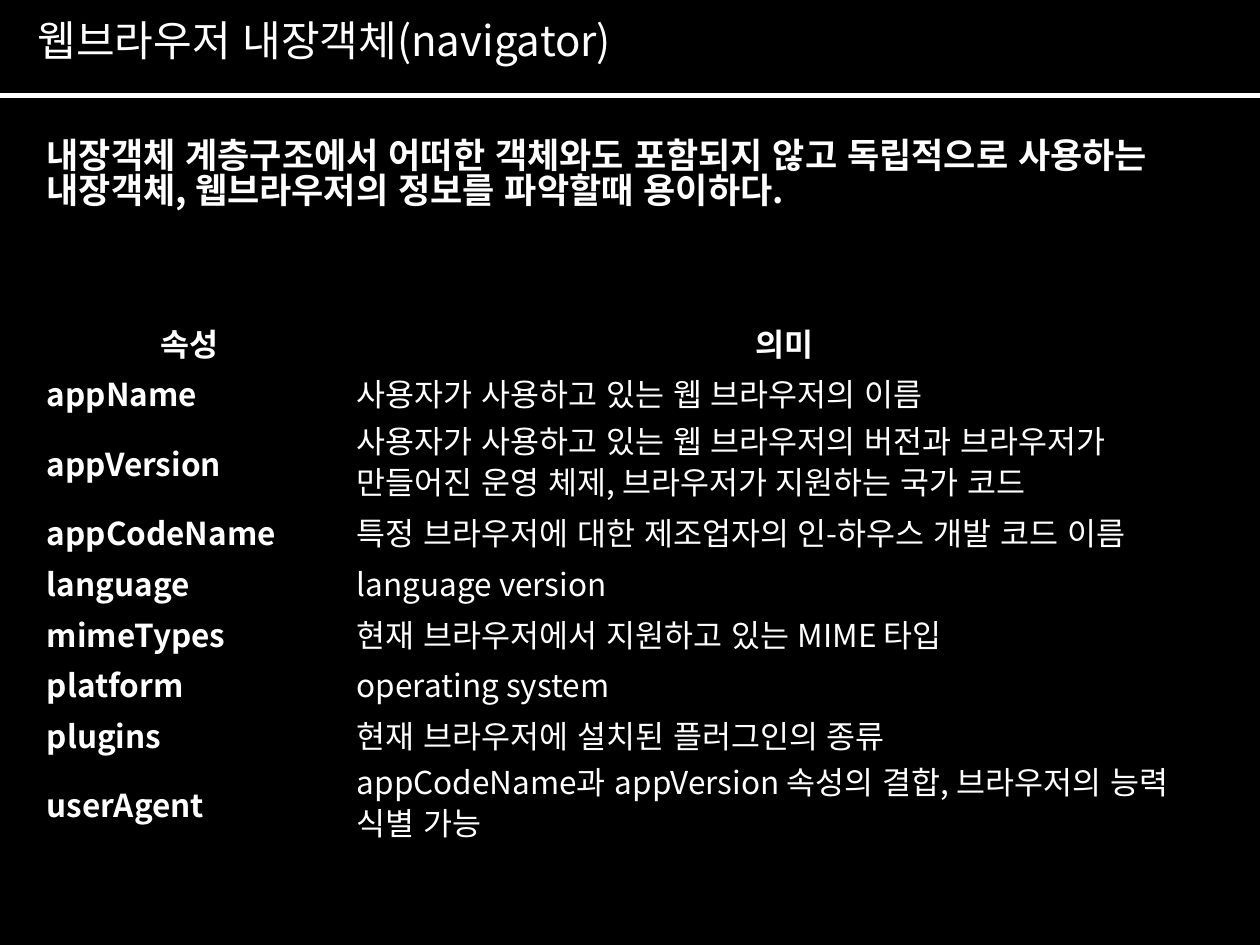
from dataclasses import dataclass

import pptx
import pptx.dml.color
import pptx.enum.lang
import pptx.enum.shapes
import pptx.enum.text
import pptx.oxml.ns
import pptx.util
from lxml import etree

Cm, Pt = pptx.util.Cm, pptx.util.Pt
ALIGN = pptx.enum.text.PP_ALIGN
qn = pptx.oxml.ns.qn
NO_GRID_STYLE = "{2D5ABB26-0587-4C30-8999-92F81FD0307C}"


@dataclass(frozen=True)
class Theme:
    paper: str = "000000"
    ink: str = "FFFFFF"
    font: str = "Noto Sans CJK KR"
    title: int = 24
    summary: int = 20
    body: int = 18
    rule: float = 3
    tight: float = 0.83
    loose: float = 0.9


class SlideBuilder:
    def __init__(self, theme, slide):
        self.theme = theme
        self.slide = slide

    def paint(self, fill, color):
        fill.solid()
        fill.fore_color.rgb = pptx.dml.color.RGBColor.from_string(color)

    def backdrop(self, left, top, width, height):
        self.paint(self.slide.background.fill, self.theme.paper)
        panel = self.slide.shapes.add_shape(
            pptx.enum.shapes.MSO_SHAPE.RECTANGLE,
            Cm(left), Cm(top), Cm(width), Cm(height))
        panel.shadow.inherit = False
        self.paint(panel.fill, self.theme.paper)
        self.paint(panel.line.fill, self.theme.paper)
        panel.line.width = Pt(0.75)

    def rule(self, left, right, y):
        rule = self.slide.shapes.add_connector(
            pptx.enum.shapes.MSO_CONNECTOR.STRAIGHT,
            Cm(left), Cm(y), Cm(right), Cm(y))
        self.paint(rule.line.fill, self.theme.ink)
        rule.line.width = Pt(self.theme.rule)
        etree.SubElement(rule._element.spPr, qn("a:effectLst"))

    def add_text(self, frame, text, size, bold=False, align=ALIGN.LEFT, spacing=None):
        paragraph = frame.paragraphs[0]
        paragraph.alignment = align
        paragraph.line_spacing = spacing or self.theme.tight
        run = paragraph.add_run()
        run.text = text
        font = run.font
        font.size, font.bold = Pt(size), bold
        font.language_id = pptx.enum.lang.MSO_LANGUAGE_ID.KOREAN
        self.paint(font.fill, self.theme.ink)
        font.name = self.theme.font
        etree.SubElement(run._r.rPr, qn("a:ea"), typeface=self.theme.font)

    def text(self, left, top, width, height, text, size, bold=False):
        box = self.slide.shapes.add_textbox(
            Cm(left), Cm(top), Cm(width), Cm(height))
        box.text_frame.word_wrap = True
        self.add_text(box.text_frame, text, size, bold)

    def cell(self, cell, text, bold, align, two_lines):
        cell.vertical_anchor = pptx.enum.text.MSO_ANCHOR.MIDDLE
        cell.margin_top = Cm(0.12 if two_lines else 0.25)
        cell.margin_bottom = 0
        self.add_text(cell.text_frame, text, self.theme.body, bold, align,
                      self.theme.loose if two_lines else None)

    def table(self, left, top, widths, line_heights, header, rows):
        heights = [line_heights[lines] for *_, lines in [(*header, 1), *rows]]
        table = self.slide.shapes.add_table(
            len(heights), len(widths), Cm(left), Cm(top),
            Cm(sum(widths)), Cm(sum(heights))).table
        table.first_row = table.horz_banding = False
        table._tbl.tblPr.find(qn("a:tableStyleId")).text = NO_GRID_STYLE
        for column, width in zip(table.columns, widths):
            column.width = Cm(width)
        for row, height in zip(table.rows, heights):
            row.height = Cm(height)

        # Header row
        for column, heading in enumerate(header):
            cell = table.cell(0, column)
            self.paint(cell.fill, self.theme.paper)
            self.cell(cell, heading, True, ALIGN.CENTER, False)

        # Property rows
        for row, (name, meaning, lines) in enumerate(rows, start=1):
            name_cell, meaning_cell = table.cell(row, 0), table.cell(row, 1)
            name_cell.fill.background()
            meaning_cell.fill.background()
            meaning_cell.margin_right = Cm(1)
            self.cell(name_cell, name, True, ALIGN.LEFT, False)
            self.cell(meaning_cell, meaning, False, ALIGN.LEFT, lines == 2)


# Property, meaning, number of lines
PROPERTIES = [
    ("appName", "사용자가 사용하고 있는 웹 브라우저의 이름", 1),
    ("appVersion", "사용자가 사용하고 있는 웹 브라우저의 버전과 브라우저가 "
                   "만들어진 운영 체제, 브라우저가 지원하는 국가 코드", 2),
    ("appCodeName", "특정 브라우저에 대한 제조업자의 인-하우스 개발 코드 이름", 1),
    ("language", "language version", 1),
    ("mimeTypes", "현재 브라우저에서 지원하고 있는 MIME 타입", 1),
    ("platform", "operating system", 1),
    ("plugins", "현재 브라우저에 설치된 플러그인의 종류", 1),
    ("userAgent", "appCodeName과 appVersion 속성의 결합, 브라우저의 능력 식별 가능", 2),
]


def main():
    theme = Theme()
    deck = pptx.Presentation()
    deck.slide_width, deck.slide_height = Cm(25.4), Cm(19.05)
    page = SlideBuilder(theme, deck.slides.add_slide(deck.slide_layouts[6]))

    # Backdrop and title
    page.backdrop(-0.1, -0.08, 25.4, 19.05)
    page.rule(0, 25.4, 1.93)
    page.text(0.51, 0.33, 19.4, 1.27, "웹브라우저 내장객체(navigator)", theme.title)
    page.rule(-0.1, 25.3, 1.93)

    # Summary
    page.text(0.69, 2.72, 23.22, 1.96,
              "내장객체 계층구조에서 어떠한 객체와도 포함되지 않고 독립적으로 사용하는 "
              "내장객체, 웹브라우저의 정보를 파악할때 용이하다.",
              theme.summary, bold=True)

    # Property table
    page.table(0.69, 6.32, widths=[6.25, 17.75], line_heights={1: 1.02, 2: 1.78},
               header=("속성", "의미"), rows=PROPERTIES)

    deck.save("out.pptx")


if __name__ == "__main__":
    main()
